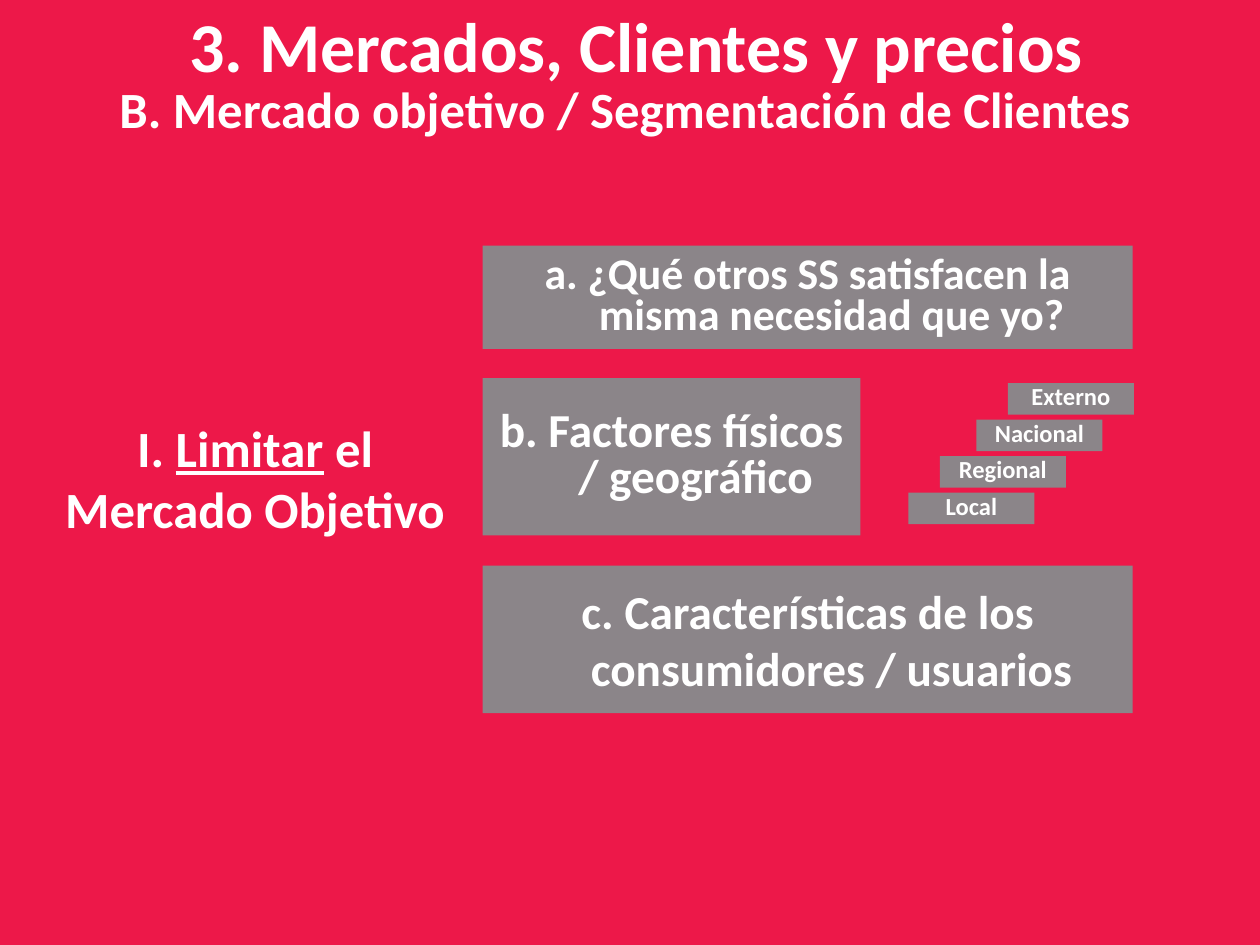
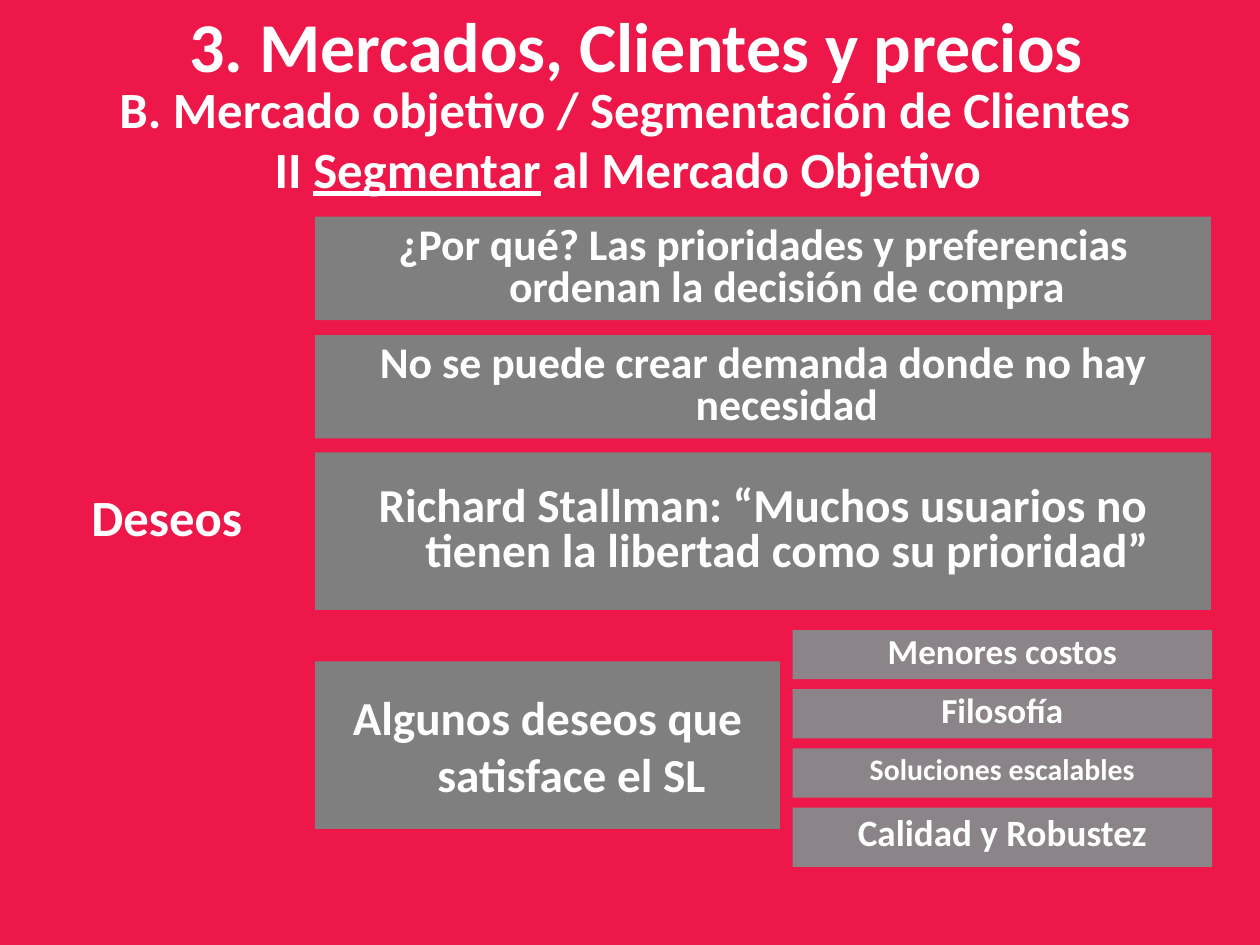
"""Build two slides on limiting and segmenting a target market."""
from pptx import Presentation
from pptx.dml.color import RGBColor
from pptx.enum.shapes import MSO_SHAPE
from pptx.enum.text import MSO_ANCHOR, PP_ALIGN
from pptx.util import Inches, Pt

COLORS = {"bg": "ED1849", "text": "FFFFFF", "warm": "8B8589", "gray": "7F7F7F"}
FONT = "Calibri"
INDENT = 0.38


def format_text(sp, parts, size):
    tf = sp.text_frame
    tf.word_wrap = True
    tf.vertical_anchor = MSO_ANCHOR.MIDDLE
    p = tf.paragraphs[0]
    p.alignment = PP_ALIGN.CENTER
    for i, part in enumerate(parts):
        r = p.add_run()
        r.text = part
        r.font.name = FONT
        r.font.size = Pt(size)
        r.font.bold = True
        r.font.underline = i % 2 == 1
        r.font.color.rgb = RGBColor.from_string(COLORS["text"])
    return p


def add_box(s, text, box, size, fill, spacing=0.8):
    sp = s.shapes.add_shape(MSO_SHAPE.RECTANGLE, *map(Inches, box))
    sp.shadow.inherit = False
    sp.fill.solid()
    sp.fill.fore_color.rgb = RGBColor.from_string(COLORS[fill])
    sp.line.fill.background()
    p = format_text(sp, [text], size)
    p.line_spacing = spacing
    pPr = p._p.get_or_add_pPr()
    pPr.set("marL", str(Inches(INDENT)))
    pPr.set("indent", str(Inches(-INDENT)))


prs = Presentation()
prs.slide_width = Inches(10)
prs.slide_height = Inches(7.5)

headings = [
    (["3. Mercados, Clientes y precios"], (0.55, 0, 9, 0.7), 40),
    (["B. Mercado objetivo / Segmentación de Clientes"], (0.08, 0.47, 9.77, 0.78), 29),
]
slide_labels = [
    [(["I. ", "Limitar", " el Mercado Objetivo"], (0.23, 3.13, 3.59, 1.33), 29)],
    [
        (["II ", "Segmentar", " al Mercado Objetivo"], (0.65, 1.02, 8.67, 0.63), 29),
        (["Deseos"], (0.23, 3.59, 2.19, 1.02), 29),
    ],
]
slides = []
for labels in slide_labels:
    s = prs.slides.add_slide(prs.slide_layouts[6])
    s.background.fill.solid()
    s.background.fill.fore_color.rgb = RGBColor.from_string(COLORS["bg"])
    for parts, box, size in headings + labels:
        format_text(s.shapes.add_textbox(*map(Inches, box)), parts, size)
    slides.append(s)
limit, segment = slides

questions = [
    ("a. ¿Qué otros SS satisfacen la misma necesidad que yo?", 1.95, 5.16, 0.82, 25, 0.8),
    ("b. Factores físicos / geográfico", 3, 3, 1.25, 27, 0.8),
    ("c. Características de los consumidores / usuarios", 4.49, 5.16, 1.17, 27, 1),
]
for text, top, width, height, size, spacing in questions:
    add_box(limit, text, (3.83, top, width, height), size, "warm", spacing)

regions = [("Externo", 8), ("Nacional", 7.75), ("Regional", 7.46), ("Local", 7.21)]
for i, (text, left) in enumerate(regions):
    add_box(limit, text, (left, 3.04 + 0.29 * i, 1, 0.25), 14, "warm")

reasons = [
    ("¿Por qué? Las prioridades y preferencias ordenan la decisión de compra",
     1.72, 7.11, 0.82, 25, 0.8),
    ("No se puede crear demanda donde no hay necesidad", 2.66, 7.11, 0.82, 25, 0.8),
    ("Richard Stallman: “Muchos usuarios no tienen la libertad como su prioridad”",
     3.59, 7.11, 1.25, 27, 0.8),
    ("Algunos deseos que satisface el SL", 5.25, 3.69, 1.33, 27, 1),
]
for text, top, width, height, size, spacing in reasons:
    add_box(segment, text, (2.5, top, width, height), size, "gray", spacing)

wishes = [
    ("Menores costos", 0.39, 20, 0.8),
    ("Filosofía", 0.39, 20, 0.8),
    ("Soluciones escalables", 0.39, 17, 0.7),
    ("Calidad y Robustez", 0.47, 21.2, 0.7),
]
for i, (text, height, size, spacing) in enumerate(wishes):
    add_box(segment, text, (6.29, 5 + 0.47 * i, 3.33, height), size, "warm", spacing)

prs.save("out.pptx")
